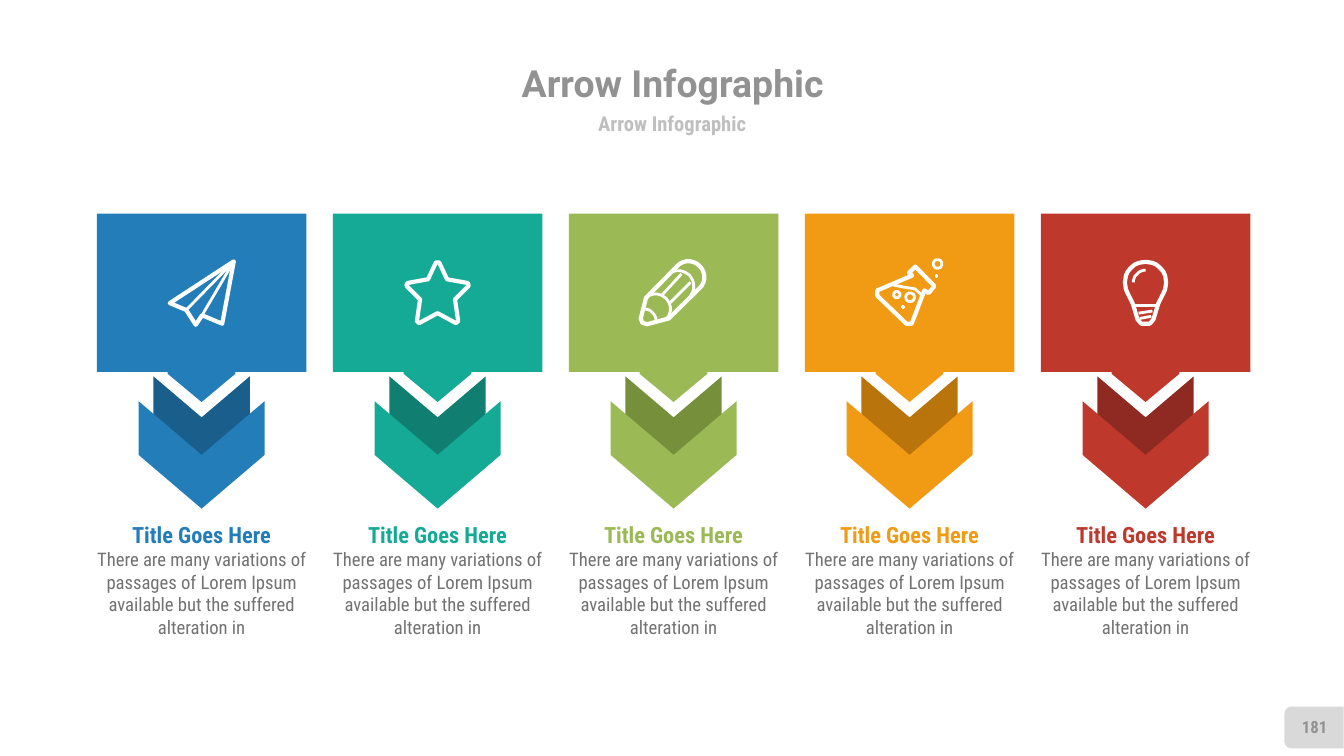
from math import cos, radians, sin

from lxml.etree import SubElement
from pptx import Presentation
from pptx.dml.color import RGBColor
from pptx.enum.shapes import MSO_SHAPE
from pptx.enum.text import MSO_ANCHOR, MSO_AUTO_SIZE, PP_ALIGN
from pptx.oxml.ns import qn
from pptx.util import Cm, Pt

WHITE = RGBColor(0xFF, 0xFF, 0xFF)
GRAY = RGBColor(0x92, 0x92, 0x92)
LIGHT_GRAY = RGBColor(0xBF, 0xBF, 0xBF)
BADGE_GRAY = RGBColor(0xD9, 0xD9, 0xD9)
TEXT_GRAY = RGBColor(0x72, 0x72, 0x72)
BLUE, DARK_BLUE = RGBColor(0x23, 0x7D, 0xB9), RGBColor(0x1A, 0x5E, 0x8B)
TEAL, DARK_TEAL = RGBColor(0x15, 0xAA, 0x96), RGBColor(0x10, 0x7F, 0x71)
GREEN, DARK_GREEN = RGBColor(0x9B, 0xB9, 0x55), RGBColor(0x76, 0x8F, 0x3B)
ORANGE, DARK_ORANGE = RGBColor(0xF1, 0x9B, 0x14), RGBColor(0xB9, 0x75, 0x0B)
RED, DARK_RED = RGBColor(0xBE, 0x38, 0x2C), RGBColor(0x8E, 0x2A, 0x21)


def write(p, text, size, color, bold=True, font="Roboto Condensed"):
    p.text = text
    p.alignment = PP_ALIGN.CENTER
    p.space_before = Pt(0)
    for r in p.runs:
        r.font.name = font
        r.font.size = Pt(size)
        r.font.bold = bold
        r.font.color.rgb = color


def arc(x, y, radius, start=0, end=360):
    angles = [radians(start + (end - start) * i / 24) for i in range(25)]
    return [(round(x + radius * cos(a), 2), round(y + radius * sin(a), 2)) for a in angles]


# Icon outlines are in hundredths of a centimetre around the icon centre.
star_half = [(3, -58), (18, -26), (57, -19), (59, -14), (33, 12), (39, 53), (35, 57), (0, 38)]
star = star_half + [(-x, y) for x, y in star_half[-2::-1]] + star_half[:1]
plane = [(61, -60), (-60, 19), (-29, 32), (-11, 60), (1, 42), (39, 58), (61, -60)]
pencil = arc(28, -30, 30, -135, 45) + [(-9, 48), (-50, 59), (-59, 56), (-62, 48), (-52, 9)]
flask = [(5, -33), (-61, -5), (-61, 5), (-6, 58), (4, 58), (28, -5), (36, 0),
         (47, -13), (11, -50), (-1, -38), (5, -33)]
bulb = arc(0, -20, 39, -210, 30) + [(24, 20), (15, 50), (8, 58), (-8, 58), (-15, 50), (-24, 20)]

columns = [
    (BLUE, DARK_BLUE, plane, [[(61, -60), (-29, 32)], [(61, -60), (1, 42)]]),
    (TEAL, DARK_TEAL, star, []),
    (GREEN, DARK_GREEN, pencil + pencil[:1], [
        arc(9, -13, 29, -135, 45), arc(-34, 30, 28, -135, 45), arc(-56, 53, 23, -90, 0),
        [(-22, 4), (15, -36)], [(-6, 18), (32, -20)]]),
    (ORANGE, DARK_ORANGE, flask, [
        [(-30, -15), (-10, -11), (10, -8), (23, 4)], arc(1, 8, 8), arc(53, -55, 8),
        arc(-24, 3, 6), arc(-12, 27, 1), arc(51, -32, 1)]),
    (RED, DARK_RED, bulb + bulb[:1], [
        [(-22, 23), (22, 23)], [(-13, 38), (13, 34)], [(-11, 48), (11, 44)],
        arc(0, -20, 23, -180, -90)]),
]

prs = Presentation()
prs.slide_width, prs.slide_height = Cm(25.4), Cm(14.29)
s = prs.slides.add_slide(prs.slide_layouts[1])

headings = [
    (s.shapes.title, 4.88, 1.07, 15.67, 0.99, 20, GRAY, "Roboto"),
    (s.placeholders[1], 6.99, 2.06, 11.43, 0.56, 11, LIGHT_GRAY, "Roboto Condensed"),
]
for sp, left, top, width, height, size, color, font in headings:
    sp.left, sp.top, sp.width, sp.height = Cm(left), Cm(top), Cm(width), Cm(height)
    tf = sp.text_frame
    tf.margin_left = tf.margin_right = tf.margin_top = tf.margin_bottom = 0
    tf.auto_size = MSO_AUTO_SIZE.NONE
    tf.vertical_anchor = MSO_ANCHOR.MIDDLE
    tf.word_wrap = False
    p = tf.paragraphs[0]
    write(p, "Arrow Infographic", size, color, font=font)
    pPr = p._p.get_or_add_pPr()
    pPr.set("marL", "0")
    pPr.set("indent", "0")
    SubElement(pPr, qn("a:buNone"))

for i, (color, dark, outline, details) in enumerate(columns):
    center = 3.81 + 4.46 * i
    blocks = [
        (MSO_SHAPE.CHEVRON, 7.89, 1.55, 1.82, 90, dark),
        (MSO_SHAPE.CHEVRON, 8.6, 2.03, 2.38, 90, color),
        (MSO_SHAPE.DOWN_ARROW_CALLOUT, 5.82, 3.96, 3.56, 0, color),
    ]
    for kind, middle, width, height, rotation, fill in blocks:
        sp = s.shapes.add_shape(kind, Cm(center - width / 2), Cm(middle - height / 2),
                                Cm(width), Cm(height))
        sp.rotation = rotation
        sp.shadow.inherit = False
        sp.fill.solid()
        sp.fill.fore_color.rgb = fill
        sp.line.fill.background()
    for k, value in enumerate((0.5, 0.18, 0.15, 0.84)):
        sp.adjustments[k] = value

    for weight, paths in ((2.25, [outline]), (1.5, details)):
        if not paths:
            continue
        fb = s.shapes.build_freeform(*paths[0][0], scale=Cm(0.01))
        for k, path in enumerate(paths):
            if k:
                fb.move_to(*path[0])
            fb.add_line_segments(path[1:], close=path[0] == path[-1])
        sp = fb.convert_to_shape(Cm(center), Cm(5.54))
        sp.shadow.inherit = False
        sp.fill.background()
        sp.line.color.rgb = WHITE
        sp.line.width = Pt(weight)
        SubElement(sp.line._get_or_add_ln(), qn("a:round"))

    tf = s.shapes.add_textbox(Cm(center - 2.49), Cm(9.73), Cm(4.98), Cm(2.49)).text_frame
    tf.word_wrap = True
    write(tf.paragraphs[0], "Title Goes Here", 12, color)
    write(tf.add_paragraph(), "There are many variations of passages of Lorem Ipsum "
          "available but the suffered\valteration in", 10, TEXT_GRAY, bold=False)

sp = s.shapes.add_shape(MSO_SHAPE.ROUND_2_SAME_RECTANGLE, Cm(24.44), Cm(13.19), Cm(0.79), Cm(1.12))
sp.rotation = 270
sp.shadow.inherit = False
sp.fill.solid()
sp.fill.fore_color.rgb = BADGE_GRAY
sp.line.fill.background()

tf = s.shapes.add_textbox(Cm(24.31), Cm(13.36), Cm(1.07), Cm(0.76)).text_frame
tf.vertical_anchor = MSO_ANCHOR.MIDDLE
tf.word_wrap = False
write(tf.paragraphs[0], "181", 9, GRAY)

prs.save("out.pptx")
